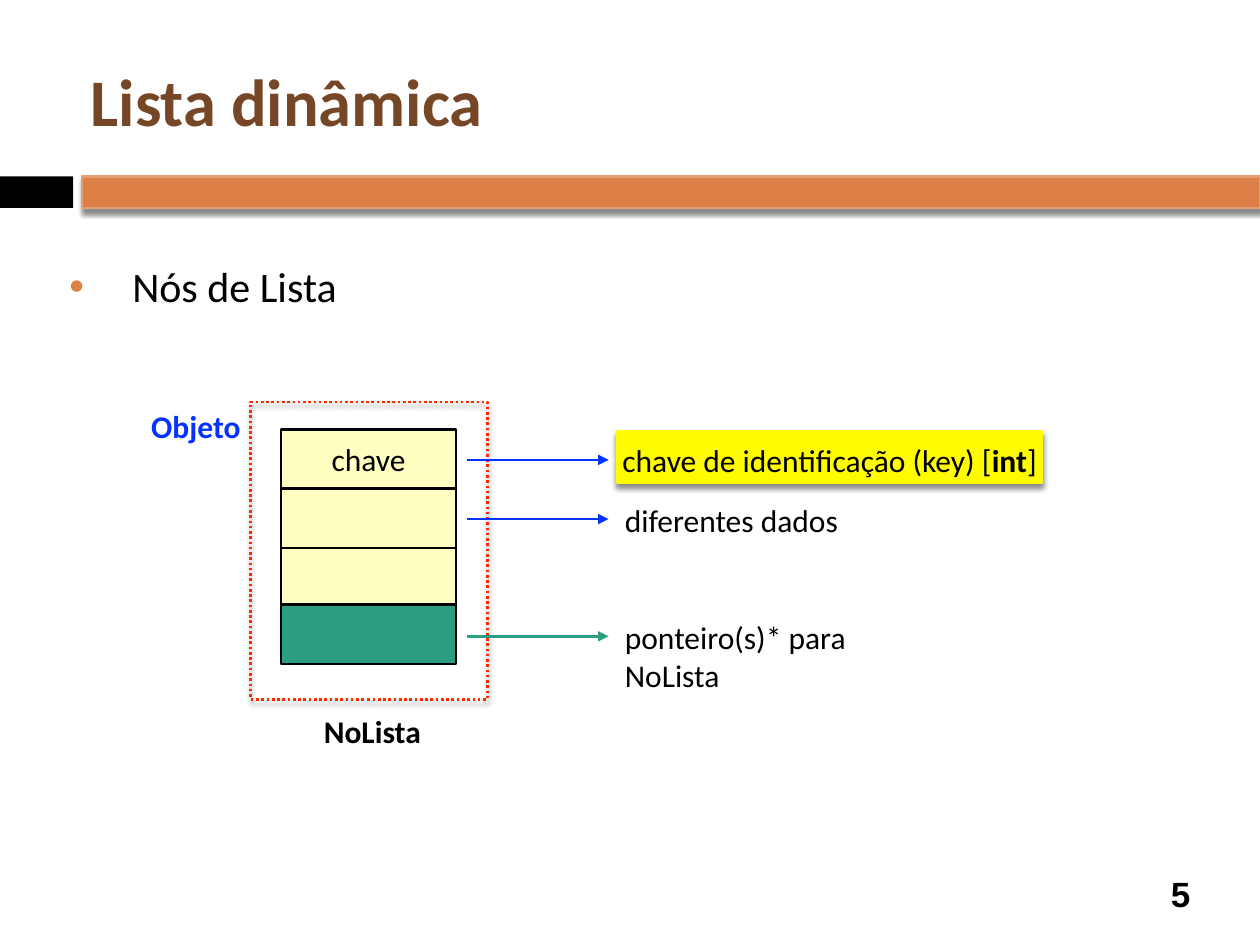
from dataclasses import dataclass

from lxml.etree import SubElement as Sub
from pptx import Presentation
from pptx.dml.color import RGBColor as Rgb
from pptx.enum.dml import MSO_LINE as Dash
from pptx.enum.shapes import MSO_CONNECTOR as Conn, MSO_SHAPE as Kind
from pptx.enum.text import MSO_ANCHOR as Anchor, PP_ALIGN as Align
from pptx.oxml.ns import qn
from pptx.util import Inches, Pt


@dataclass(frozen=True)
class Theme:
    """Colours, fonts and type sizes of the slide."""
    black: str = "000000"
    brown: str = "754726"
    orange: str = "DD8047"
    peach: str = "E5A075"
    blue: str = "0433FF"
    green: str = "2A9E7E"
    red: str = "FF2600"
    yellow: str = "FFFB00"
    cream: str = "FFFFC2"
    font: str = "Calibri"
    digit: str = "Arial"
    title: int = 38
    body: int = 24
    label: int = 18
    page: int = 20
    line: float = 1.5


T = Theme()


def write(shape, text, size=T.label, color=T.black, font=T.font, bold=False,
          align=Align.LEFT, anchor=Anchor.TOP, wrap=False):
    """Fill a shape with one paragraph; parts between bars are bold."""
    frame = shape.text_frame
    frame.word_wrap = wrap
    frame.vertical_anchor = anchor
    frame.margin_left = frame.margin_right = Inches(0.05)
    frame.margin_top = frame.margin_bottom = Inches(0.05)
    para = frame.paragraphs[0]
    para.alignment = align
    for i, part in enumerate(text.split("|")):
        run = para.add_run()
        run.text = part
        run.font.name = font
        run.font.size = Pt(size)
        run.font.bold = bold or i % 2 == 1
        run.font.color.rgb = Rgb.from_string(color)
    return para


def label(slide, text, x, y, w, h=0.36, **style):
    """Add a text box and return its paragraph."""
    box = slide.shapes.add_textbox(Inches(x), Inches(y), Inches(w), Inches(h))
    return write(box, text, **style)


def bullet(para, color):
    """Give a paragraph a coloured bullet and a hanging indent."""
    props = para._p.get_or_add_pPr()
    props.set("marL", str(Inches(0.5)))
    props.set("indent", str(-Inches(0.5)))
    tint = Sub(props, qn("a:buClr"))
    Sub(tint, qn("a:srgbClr"), val=color)
    Sub(props, qn("a:buFont"), typeface=T.digit)
    Sub(props, qn("a:buChar"), char="•")


def shade(shape):
    """Cast a soft shadow straight down."""
    effect = shape._element.spPr.find(qn("a:effectLst"))
    cast = Sub(effect, qn("a:outerShdw"), blurRad=str(Pt(3)),
               dist=str(Pt(2.4)), dir="5400000", rotWithShape="0")
    tint = Sub(cast, qn("a:srgbClr"), val=T.black)
    Sub(tint, qn("a:alpha"), val="45000")


def block(slide, x, y, w, h, fill=None, line=None, dash=None, shadow=False):
    """Add a rectangle."""
    shape = slide.shapes.add_shape(
        Kind.RECTANGLE, Inches(x), Inches(y), Inches(w), Inches(h))
    shape.shadow.inherit = False
    if fill:
        shape.fill.solid()
        shape.fill.fore_color.rgb = Rgb.from_string(fill)
    else:
        shape.fill.background()
    if line:
        shape.line.color.rgb = Rgb.from_string(line)
        shape.line.width = Pt(T.line)
    else:
        shape.line.fill.background()
    if dash:
        shape.line.dash_style = dash
    if shadow:
        shade(shape)
    return shape


def arrow(slide, y, color):
    """Add a level arrow from the node to its note."""
    link = slide.shapes.add_connector(
        Conn.STRAIGHT, Inches(3.71), Inches(y), Inches(4.83), Inches(y))
    link.line.color.rgb = Rgb.from_string(color)
    link.line.width = Pt(T.line)
    Sub(link.line._ln, qn("a:tailEnd"), type="triangle")
    Sub(link._element.spPr, qn("a:effectLst"))


def frame(slide):
    """Add the title, the bars, the bullet and the page number."""
    block(slide, 0, 1.4, 0.58, 0.25, T.black)
    block(slide, 0.65, 1.4, 9.35, 0.25, T.orange, T.peach, shadow=True)
    label(slide, "Lista dinâmica", 0.67, 0.25, 8.92, 1.08, size=T.title,
          color=T.brown, bold=True, anchor=Anchor.MIDDLE, wrap=True)
    para = label(slide, "Nós de Lista", 0.5, 2.02, 9, 0.84,
                 size=T.body, wrap=True)
    bullet(para, T.orange)
    label(slide, "5", 9.08, 6.89, 0.58, 0.41, size=T.page, font=T.digit,
          bold=True, align=Align.CENTER, anchor=Anchor.MIDDLE, wrap=True)


def node(slide):
    """Add the list node with its four fields."""
    block(slide, 1.99, 3.19, 1.88, 2.36, line=T.red,
          dash=Dash.ROUND_DOT, shadow=True)
    fills = (T.green, T.cream, T.cream, T.cream)
    tops = (4.8, 4.33, 3.88, 3.41)
    for y, fill in zip(tops, fills):
        cell = block(slide, 2.23, y, 1.39, 0.47, fill, T.black)
    write(cell, "chave", align=Align.CENTER, anchor=Anchor.MIDDLE, wrap=True)
    label(slide, "Objeto", 1.15, 3.18, 0.81, color=T.blue, bold=True)
    label(slide, "NoLista", 2.52, 5.6, 0.89, bold=True)


def notes(slide):
    """Add the arrows and the notes on the fields."""
    for y, color in ((3.65, T.blue), (4.12, T.blue), (5.05, T.green)):
        arrow(slide, y, color)
    block(slide, 4.9, 3.42, 3.37, 0.41, T.yellow, T.yellow, shadow=True)
    label(slide, "chave de identificação (key) [|int|]", 4.89, 3.45, 3.4)
    label(slide, "diferentes dados", 4.91, 3.93, 1.8)
    label(slide, "ponteiro(s)* para NoLista", 4.91, 4.86, 2.4, 0.66, wrap=True)


def main():
    """Build and save the slide."""
    deck = Presentation()
    deck.slide_width, deck.slide_height = Inches(10), Inches(7.5)
    slide = deck.slides.add_slide(deck.slide_layouts[6])
    frame(slide)
    node(slide)
    notes(slide)
    deck.save("out.pptx")


if __name__ == "__main__":
    main()
